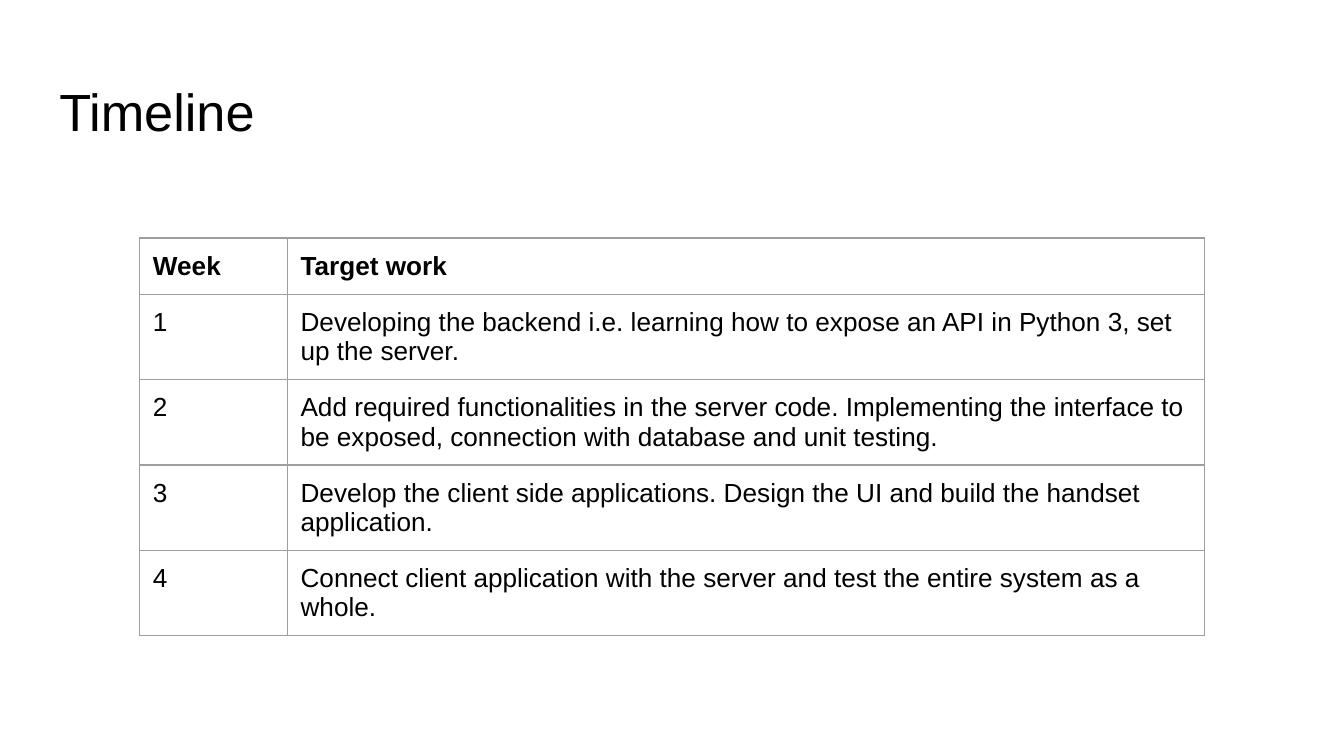
from dataclasses import dataclass

from lxml.etree import SubElement
from pptx import Presentation
from pptx.dml.color import RGBColor
from pptx.enum.text import MSO_ANCHOR, MSO_AUTO_SIZE, PP_ALIGN
from pptx.oxml.ns import qn
from pptx.util import Cm, Pt


@dataclass(frozen=True)
class Theme:
    """Hold the colours, type sizes and spacing of the slide."""
    font: str = "Arial"
    text: str = "000000"
    border: str = "9E9E9E"
    border_width: float = 0.75
    title_size: int = 28
    body_size: int = 14
    inset: float = 0.25


THEME = Theme()
TIMELINE = [
    ("Week", "Target work"),
    ("1", "Developing the backend i.e. learning how to expose an API in Python 3, set up the server."),
    ("2", "Add required functionalities in the server code. Implementing the interface to be exposed, "
          "connection with database and unit testing."),
    ("3", "Develop the client side applications. Design the UI and build the handset application."),
    ("4", "Connect client application with the server and test the entire system as a whole."),
]


def format_text(tf, size, bold=False):
    """Apply the theme font and left alignment to every run."""
    for p in tf.paragraphs:
        p.alignment = PP_ALIGN.LEFT
        for r in p.runs:
            r.font.name = THEME.font
            r.font.size = Pt(size)
            r.font.bold = bold
            r.font.color.rgb = RGBColor.from_string(THEME.text)


def set_insets(box):
    """Give a text frame or table cell equal margins."""
    box.margin_left = box.margin_right = Cm(THEME.inset)
    box.margin_top = box.margin_bottom = Cm(THEME.inset)


def set_borders(cell):
    """Draw a thin line on all four sides of a cell."""
    tcPr = cell._tc.get_or_add_tcPr()
    for i, side in enumerate(("lnL", "lnR", "lnT", "lnB")):
        ln = SubElement(tcPr, qn(f"a:{side}"), w=str(Pt(THEME.border_width)))
        fill = SubElement(ln, qn("a:solidFill"))
        SubElement(fill, qn("a:srgbClr"), val=THEME.border)
        tcPr.insert(i, ln)


def add_title(s, text, left, top, width, height):
    """Place the title placeholder in the given box."""
    sp = s.shapes.title
    sp.left, sp.top, sp.width, sp.height = Cm(left), Cm(top), Cm(width), Cm(height)
    tf = sp.text_frame
    tf.text = text
    tf.word_wrap = True
    tf.auto_size = MSO_AUTO_SIZE.NONE
    tf.vertical_anchor = MSO_ANCHOR.TOP
    set_insets(tf)
    format_text(tf, THEME.title_size)


def add_timeline(s, rows, left, top, width, height, week_width):
    """Place the table of weeks and target work in the given box."""
    table = s.shapes.add_table(len(rows), 2, Cm(left), Cm(top), Cm(width), Cm(height)).table
    table.first_row = table.horz_banding = False
    table.columns[0].width = Cm(week_width)
    table.columns[1].width = Cm(width - week_width)
    for i, row in enumerate(rows):
        for j, text in enumerate(row):
            cell = table.cell(i, j)
            cell.text_frame.text = text
            cell.vertical_anchor = MSO_ANCHOR.TOP
            cell.fill.background()
            set_insets(cell)
            set_borders(cell)
            format_text(cell.text_frame, THEME.body_size, bold=i == 0)


def main():
    """Build the timeline slide and save it."""
    prs = Presentation()
    prs.slide_width, prs.slide_height = Cm(25.4), Cm(14.29)
    s = prs.slides.add_slide(prs.slide_layouts[5])
    add_title(s, "Timeline", 0.87, 1.24, 23.67, 1.6)
    add_timeline(s, TIMELINE, 2.64, 4.5, 20.12, 5.35, week_width=2.79)
    prs.save("out.pptx")


if __name__ == "__main__":
    main()
